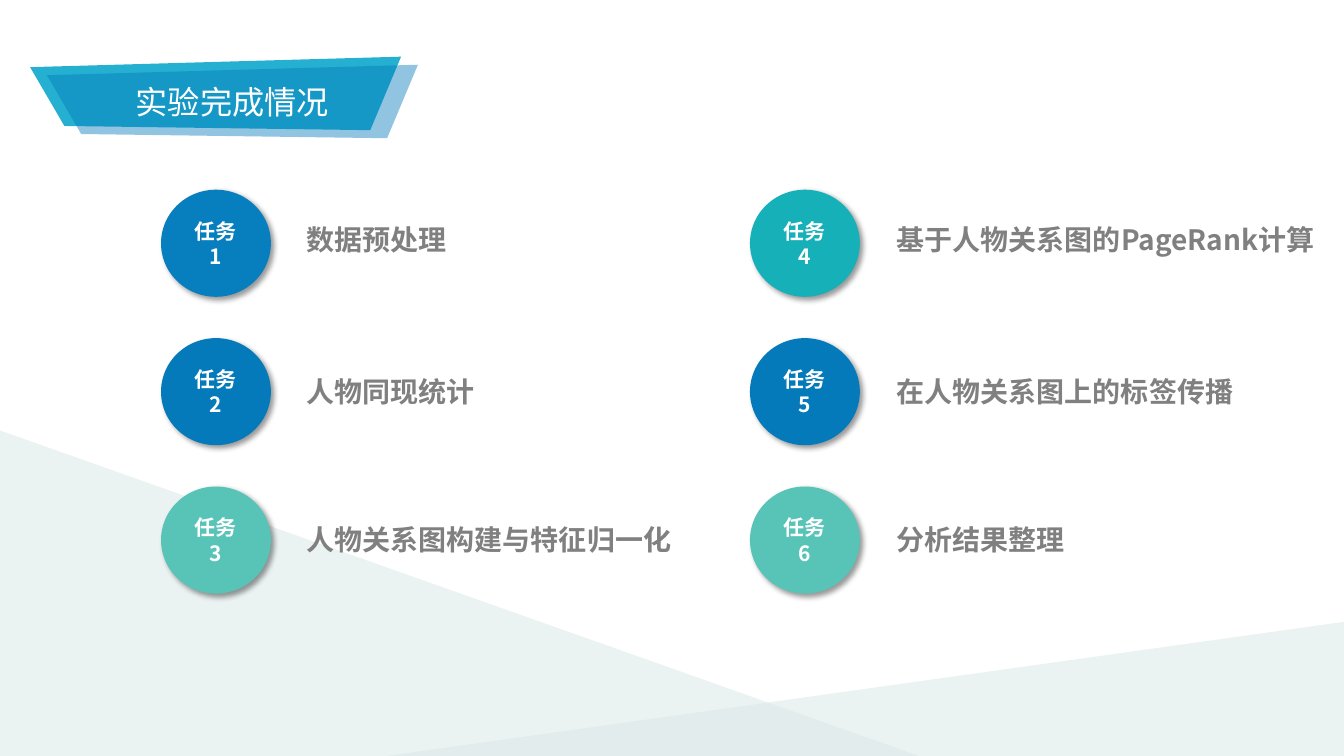
from lxml import etree
from pptx import Presentation, util as u
from pptx.dml.color import RGBColor
from pptx.enum import shapes, text
from pptx.oxml.ns import qn

COLORS = {
    "white": "FFFFFF", "gray": "808080", "mist": "DDE9E8", "cyan": "25B0D2",
    "azure": "077FBF", "blue": "047ABA", "mint": "58C4B8", "teal": "15B0B8",
    "black": "000000",
}


class Deck:
    """Holds the slide style and the current slide."""
    font = "Noto Sans CJK SC"

    def __init__(self, width, height):
        self.prs = Presentation()
        self.prs.slide_width, self.prs.slide_height = u.Pt(width), u.Pt(height)
        self.s = self.prs.slides.add_slide(self.prs.slide_layouts[5])

    def paint(self, sp, color, alpha=None):
        sp.shadow.inherit = False
        sp.line.fill.background()
        sp.fill.solid()
        sp.fill.fore_color.rgb = RGBColor.from_string(COLORS[color])
        if alpha is not None:
            clr = sp._element.spPr.find(qn("a:solidFill"))[0]
            etree.SubElement(clr, qn("a:alpha"), val=str(alpha * 1000))

    def set_text(self, sp, words, size, color, bold=False, align=text.PP_ALIGN.LEFT,
                 anchor=text.MSO_ANCHOR.TOP, inset=(0, 0)):
        tf = sp.text_frame
        tf.word_wrap = True
        tf.vertical_anchor = anchor
        tf.margin_left = tf.margin_right = u.Pt(inset[0])
        tf.margin_top = tf.margin_bottom = u.Pt(inset[1])
        p = tf.paragraphs[0]
        r = p.add_run()
        r.text = words
        p.alignment = align
        for f in (p.font, r.font):
            f.name, f.size, f.bold = self.font, u.Pt(size), bold
            f.color.rgb = RGBColor.from_string(COLORS[color])
            ea = etree.Element(qn("a:ea"), typeface=self.font)
            f._element.find(qn("a:latin")).addnext(ea)

    def triangle(self, x, y, w, h, flip=False):
        sp = self.s.shapes.add_shape(shapes.MSO_SHAPE.RIGHT_TRIANGLE,
                                     u.Pt(x), u.Pt(y), u.Pt(w), u.Pt(h))
        self.paint(sp, "mist", 56)
        if flip:
            sp._element.spPr.find(qn("a:xfrm")).set("flipH", "1")

    def ribbon(self, points, color, alpha=None):
        pts = [(u.Pt(x), u.Pt(y)) for x, y in points]
        fb = self.s.shapes.build_freeform(*pts[0])
        fb.add_line_segments(pts[1:], close=True)
        self.paint(fb.convert_to_shape(), color, alpha)

    def title(self, words, x, y, w, h):
        sp = self.s.shapes.title
        sp.left, sp.top, sp.width, sp.height = u.Pt(x), u.Pt(y), u.Pt(w), u.Pt(h)
        self.set_text(sp, words, 23, "white", align=text.PP_ALIGN.CENTER,
                      anchor=text.MSO_ANCHOR.MIDDLE)
        self.s.shapes._spTree.append(sp._element)  # in front of the ribbon

    def badge(self, words, x, y, color):
        sp = self.s.shapes.add_shape(shapes.MSO_SHAPE.OVAL,
                                     u.Pt(x), u.Pt(y), u.Pt(78.5), u.Pt(76.5))
        self.paint(sp, color)
        effects = sp._element.spPr.find(qn("a:effectLst"))
        shadow = etree.SubElement(effects, qn("a:outerShdw"), blurRad=str(u.Pt(4)),
                                  dist=str(u.Pt(3)), dir=str(45 * 60000))
        clr = etree.SubElement(shadow, qn("a:srgbClr"), val=COLORS["black"])
        etree.SubElement(clr, qn("a:alpha"), val="40000")
        self.set_text(sp, words, 15, "white", True, text.PP_ALIGN.CENTER,
                      text.MSO_ANCHOR.MIDDLE, (8, 3))

    def label(self, words, x, y, w):
        sp = self.s.shapes.add_textbox(u.Pt(x), u.Pt(y), u.Pt(w), u.Pt(24.5))
        self.set_text(sp, words, 20, "gray", True)
        sp.text_frame.auto_size = text.MSO_AUTO_SIZE.SHAPE_TO_FIT_TEXT


def main():
    deck = Deck(960, 540)

    # Background hills
    deck.triangle(276, 443.5, 689, 96.5, flip=True)
    deck.triangle(0, 307.5, 656.5, 232.5)

    # Title ribbon: one outline, repeated with an offset
    outline = [(21.5, 48), (46, 90), (264.5, 93), (286.5, 40.5)]
    dx, dy = 12, 5.75
    deck.ribbon(outline, "cyan")
    deck.ribbon([(x + dx, y + dy) for x, y in outline], "blue", 44)
    deck.title("实验完成情况", 33.5, 46.25, 265, 52.5)

    # Tasks: two columns of three, numbered down each column
    columns = [
        (115, 219, 267, [("数据预处理", "azure"), ("人物同现统计", "blue"),
                         ("人物关系图构建与特征归一化", "mint")]),
        (535.7, 640.5, 305, [("基于人物关系图的PageRank计算", "teal"),
                             ("在人物关系图上的标签传播", "blue"),
                             ("分析结果整理", "mint")]),
    ]
    label_tops = (159, 267.5, 373.5)
    number = 0
    for badge_x, label_x, label_w, tasks in columns:
        for row, (words, color) in enumerate(tasks):
            number += 1
            deck.badge(f"任务 {number}", badge_x, 135.5 + 106 * row, color)
            deck.label(words, label_x, label_tops[row], label_w)

    deck.prs.save("out.pptx")


if __name__ == "__main__":
    main()
